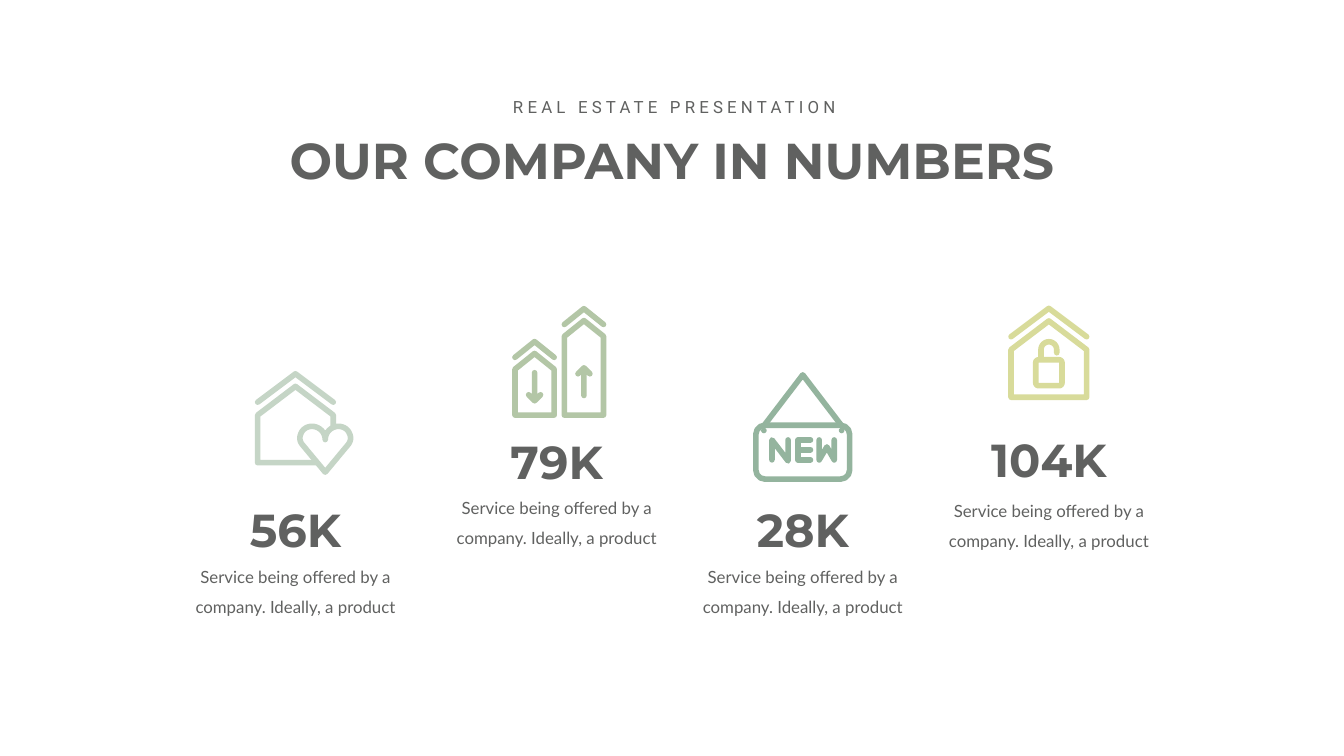
from dataclasses import dataclass
from math import cos, pi, sin

from lxml import etree
from pptx import Presentation
from pptx.dml.color import RGBColor
from pptx.enum.shapes import MSO_SHAPE
from pptx.enum.text import MSO_ANCHOR, MSO_AUTO_SIZE, PP_ALIGN
from pptx.oxml.ns import qn
from pptx.util import Pt

CENTER, TOP = PP_ALIGN.CENTER, MSO_ANCHOR.TOP
FIXED = MSO_AUTO_SIZE.NONE
ROUND, OVAL = MSO_SHAPE.ROUNDED_RECTANGLE, MSO_SHAPE.OVAL


@dataclass(frozen=True)
class Theme:
    ink: str = "606160"
    paper: str = "FFFFFF"
    mist: str = "C5D5C6"
    sage: str = "B3C6A6"
    fern: str = "94B49E"
    lime: str = "D8DB9A"
    head: str = "Montserrat"
    body: str = "Lato"
    label: str = "Roboto"
    title: int = 72
    count: int = 66
    small: int = 24
    pen: int = 8


T = Theme()


def rgb(code):
    return RGBColor.from_string(code)


def write(shape, box, text, font, size, bold=False, gap=None, lead=None,
          pad=(7.2, 3.6)):
    """Place a text shape in its box and format its one paragraph."""
    shape.left, shape.top, shape.width, shape.height = map(Pt, box)
    frame = shape.text_frame
    frame.word_wrap, frame.auto_size = True, FIXED
    frame.vertical_anchor = TOP
    frame.margin_left = frame.margin_right = Pt(pad[0])
    frame.margin_top = frame.margin_bottom = Pt(pad[1])
    para = frame.paragraphs[0]
    para.alignment = CENTER
    if lead:
        para.line_spacing = Pt(lead)
    run = para.add_run()
    run.text = text
    run.font.name, run.font.size, run.font.bold = font, Pt(size), bold
    run.font.color.rgb = rgb(T.ink)
    if gap:
        run.font._element.set("spc", str(gap * 100))


def label(slide, box, text, **form):
    write(slide.shapes.add_textbox(0, 0, 0, 0), box, text, **form)


class Pen:
    """Draws rounded strokes from the top centre of an icon."""

    def __init__(self, shapes, x, y, color):
        self.shapes, self.x, self.y, self.color = shapes, x, y, color

    def spot(self, x, y):
        return Pt(self.x + x), Pt(self.y + y)

    def style(self, shape):
        shape.fill.background()
        shape.shadow.inherit = False
        shape.line.color.rgb = rgb(self.color)
        shape.line.width = Pt(T.pen)
        line = shape._element.spPr.find(qn("a:ln"))
        line.set("cap", "rnd")
        etree.SubElement(line, qn("a:round"))

    def stroke(self, *dots, close=False):
        dots = [self.spot(*dot) for dot in dots]
        form = self.shapes.build_freeform(*dots[0])
        form.add_line_segments(dots[1:], close=close)
        self.style(form.convert_to_shape())

    def frame(self, half, top, tall, curve):
        box = self.shapes.add_shape(ROUND, *self.spot(-half, top), Pt(2 * half), Pt(tall))
        box.adjustments[0] = curve / min(2 * half, tall)
        self.style(box)

    def dot(self, x, y):
        r = T.pen / 2
        disc = self.shapes.add_shape(OVAL, *self.spot(x - r, y - r), Pt(T.pen), Pt(T.pen))
        disc.fill.solid()
        disc.fill.fore_color.rgb = rgb(self.color)
        disc.line.fill.background()
        disc.shadow.inherit = False


def bend(a, b, c, d, steps=10):
    """Points along a cubic curve, without its start."""
    marks = [i / steps for i in range(1, steps + 1)]
    return [tuple((1 - t) ** 3 * p + 3 * (1 - t) ** 2 * t * q
                  + 3 * (1 - t) * t * t * r + t ** 3 * s
                  for p, q, r, s in zip(a, b, c, d)) for t in marks]


def arc(x, y, r, start, sweep, steps=12):
    """Points along a circle, angles in degrees, clockwise from the right."""
    turns = [(start + sweep * i / steps) * pi / 180 for i in range(steps + 1)]
    return [(x + r * cos(a), y + r * sin(a)) for a in turns]


def roof(pen, x, y, half, rise):
    pen.stroke((x - half, y + rise), (x, y), (x + half, y + rise))


def heart_icon(pen):
    roof(pen, 0, 4, 54, 40.5)
    pen.stroke((54, 80), (54, 63), (0, 22), (-54, 63), (-54, 131), (29, 131))
    # Heart: right half, then its mirror
    mid = 42.5
    notch, crest, side, low = (mid, 98), (62, 79), (77, 89), (74.5, 106)
    right = ([notch] + bend(notch, (mid, 87.5), (51, 79), crest)
             + bend(crest, (69, 79.5), (74.5, 83), side)
             + bend(side, (80, 95), (79, 101), low) + [(mid, 144.5)])
    left = [(2 * mid - x, y) for x, y in reversed(right[1:-1])]
    pen.stroke(*right, *left, close=True)


def tower_icon(pen):
    # Middle, top, and the arrow's tail, tip and barb heights
    for x, y, tail, tip, barb in ((-31.5, 47, 96, 136, 127.5), (39, 0, 128.5, 89, 97.5)):
        roof(pen, x, y + 4.5, 28, 22.5)
        pen.stroke((x - 28, 156.5), (x - 28, y + 44), (x, y + 21.5),
                   (x + 28, y + 44), (x + 28, 156.5), close=True)
        pen.stroke((x, tail), (x, tip), (x - 8.5, barb), (x, tip), (x + 8.5, barb))


def sign_icon(pen):
    pen.stroke((-55, 76.5), (0, 4.5), (55, 76.5))
    pen.frame(67, 76.5, 77, 13)
    for x in (-55.5, 55.5):
        pen.dot(x, 84)
    # Letters N, E, W
    high, mid, low = 97.5, 111.5, 126
    pen.stroke((-44, low), (-44, high), (-21, low + 1.5), (-21, high))
    pen.stroke((11, high), (-6.5, high), (-6.5, mid), (11, mid),
               (-6.5, mid), (-6.5, low), (11, low))
    pen.stroke((23.5, high), (23.5, low), (34.5, 107.5), (45, low), (45, high))


def lock_icon(pen):
    roof(pen, 0, 4, 54, 40.5)
    pen.stroke((-54, 131), (-54, 63), (0, 22), (54, 63), (54, 131), close=True)
    # Lock: round the body, then up the shackle
    r, top, low, side, curve = 11.25, 77.5, 114.5, 18.75, 4
    x = side - curve
    corners = ((x, top + curve, -90), (x, low - curve, 0),
               (-x, low - curve, 90), (-x, top + curve, 180))
    body = [dot for cx, cy, turn in corners for dot in arc(cx, cy, curve, turn, 90, 4)]
    pen.stroke((-r, top), *body, (-r, top), *arc(0, 63, r, 180, 180), (r, 67.5))


def header(slide, x, y):
    write(slide.shapes.title, (x - 569.5, y + 47, 1138, 94), "OUR COMPANY IN NUMBERS",
          font=T.head, size=T.title, bold=True)
    label(slide, (x - 249.5, y, 505, 36), "REAL ESTATE PRESENTATION",
          font=T.label, size=T.small, gap=6)


def card(slide, x, y, icon, color, count, drop, fall):
    """One figure: icon at the top, number at drop, text at fall."""
    icon(Pen(slide.shapes.add_group_shape().shapes, x, y, color))
    label(slide, (x - 92.5, y + drop, 185, 87), count,
          font=T.head, size=T.count, bold=True)
    label(slide, (x - 187, y + fall, 374, 99),
          "Service being offered by a company. Ideally, a product",
          font=T.body, size=T.small, lead=43, pad=(17.3, 8.6))


CARDS = (
    (422, 530, heart_icon, T.mist, "56K", 183, 257),
    (795, 436.5, tower_icon, T.sage, "79K", 179, 251),
    (1146.5, 531, sign_icon, T.fern, "28K", 182, 256),
    (1498, 436.5, lock_icon, T.lime, "104K", 176.5, 255.5),
)


def main():
    deck = Presentation()
    deck.slide_width, deck.slide_height = Pt(1919.52), Pt(1080)
    slide = deck.slides.add_slide(deck.slide_layouts[5])
    back = slide.background.fill
    back.solid()
    back.fore_color.rgb = rgb(T.paper)
    header(slide, 960, 134.5)
    for item in CARDS:
        card(slide, *item)
    deck.save("out.pptx")


if __name__ == "__main__":
    main()
